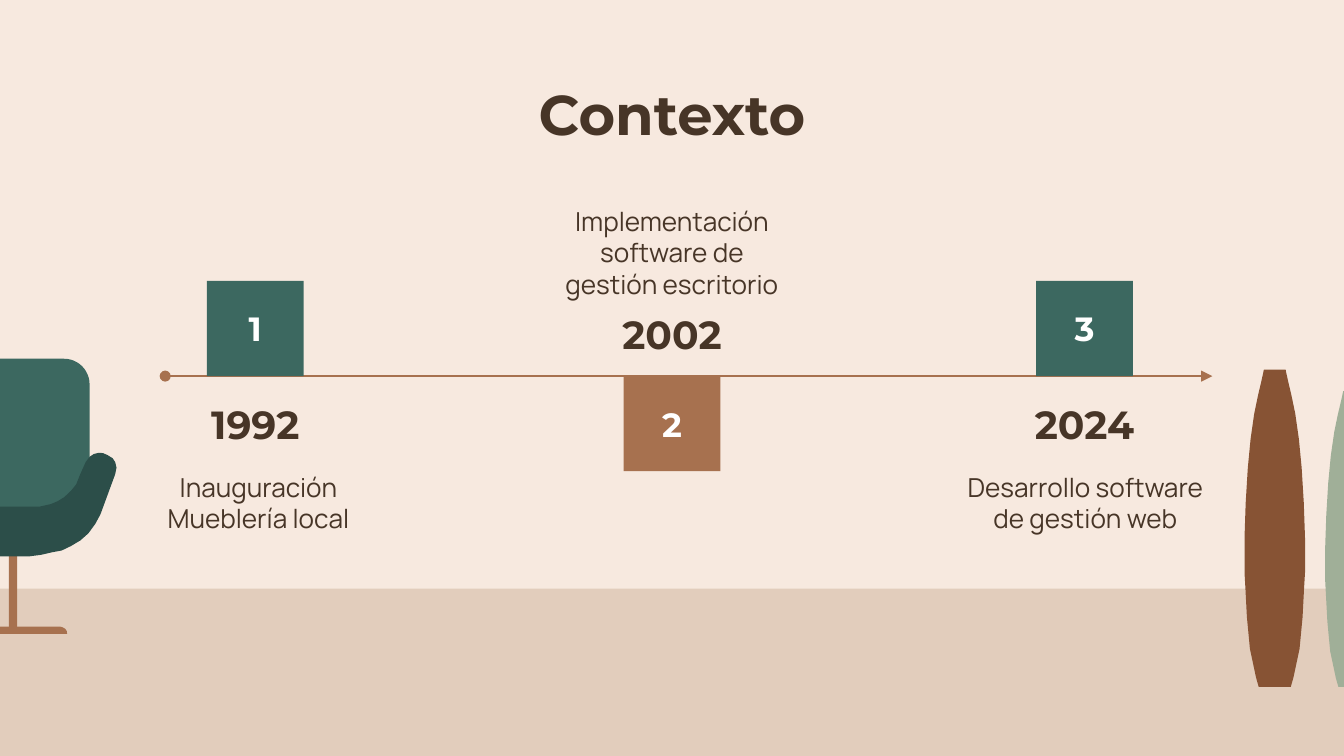
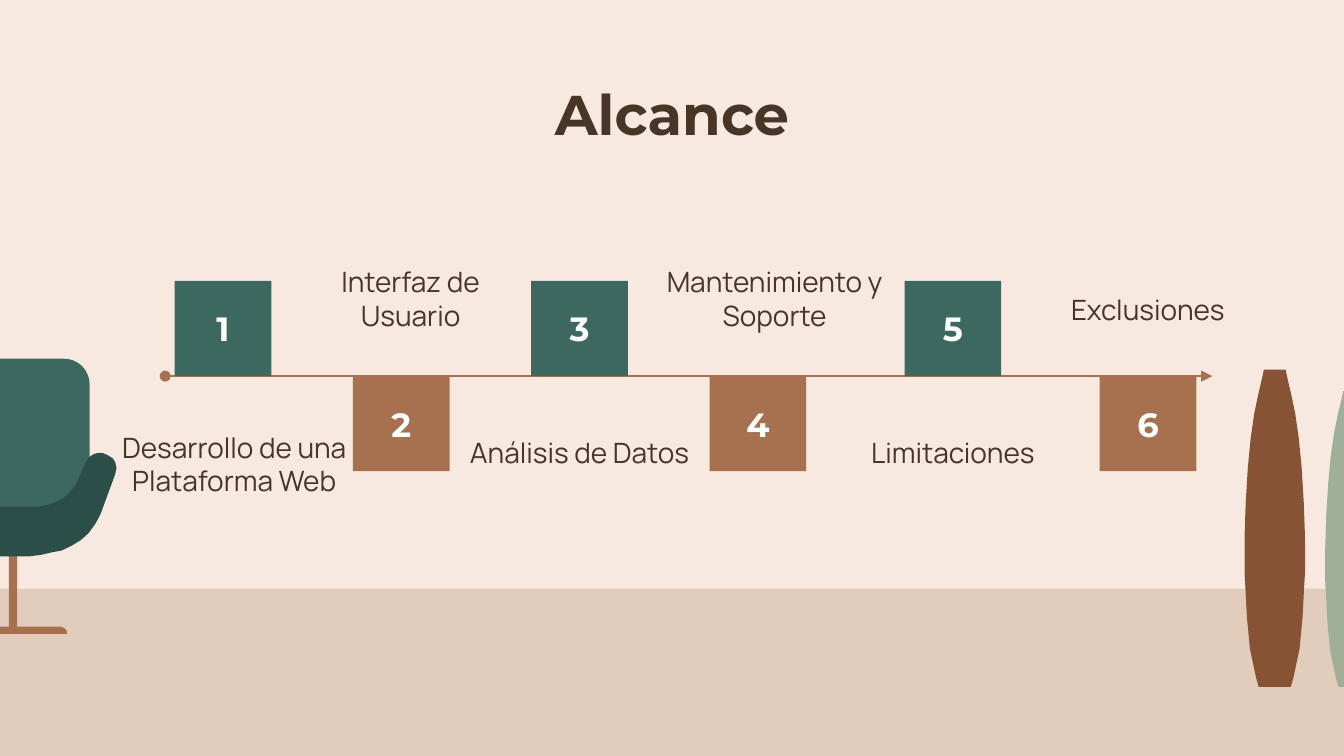
from lxml.etree import SubElement
from pptx import Presentation
from pptx.dml.color import RGBColor
from pptx.enum.shapes import MSO_CONNECTOR, MSO_SHAPE
from pptx.enum.text import MSO_ANCHOR, MSO_AUTO_SIZE, PP_ALIGN
from pptx.oxml.ns import qn
from pptx.util import Pt

COLORS = {
    "wall": "F7E9DF",
    "floor": "E2CDBC",
    "ink": "473527",
    "white": "FFFFFF",
    "green": "3C6860",
    "dark_green": "2C4E49",
    "sage": "A0AF98",
    "copper": "A7714F",
    "brown": "875334",
}
TITLE_FONT = {"name": "Montserrat", "size": Pt(30), "bold": True}
NUMBER_FONT = {"name": "Montserrat", "size": Pt(18), "bold": True}
YEAR_FONT = {"name": "Montserrat", "size": Pt(21), "bold": True}
NOTE_FONT = {"name": "Manrope", "bold": False}
FRAME = {
    "word_wrap": True,
    "auto_size": MSO_AUTO_SIZE.NONE,
    **{f"margin_{side}": Pt(7.2) for side in ("left", "top", "right", "bottom")},
}

TITLE_BOX = (56, 35.3, 608, 45.4)
TIMELINE_BOX = (88.5, 150.5, 561, 102)
FLOOR_BOX = (0, 315.4, 720, 89.6)
CHAIR_BOX = (-48.4, 192.2, 110.8, 147.6)
VASES = [((666.7, 198, 32.4, 170), "brown"), ((709.9, 209.5, 30.2, 158.5), "sage")]
NUMBER_SIZE = (51.8, 51)
YEAR_SIZE = (69, 26)
NOTE_SIZE = (142, 59)

VASE_HALF = [
    (0.36, 0), (0.38, 0.01), (0.45, 0.04), (0.55, 0.08), (0.68, 0.14),
    (0.8, 0.22), (0.89, 0.31), (0.96, 0.42), (1, 0.53), (1, 0.64),
    (0.97, 0.69), (0.92, 0.78), (0.82, 0.88), (0.62, 0.97), (0.53, 1),
]
SEAT_HALF = [
    (0, 55.5), (8.6, 55.5), (15, 54.7), (21, 53.3), (26, 52.4), (31, 50),
    (36, 47), (40.3, 43.2), (44, 38.2), (46.8, 33), (54.7, 11.5), (55.4, 8),
    (54.7, 5), (53.3, 2.9), (50.5, 1.2), (48.2, 0.2), (46, 0), (43.2, 0.7),
    (41, 2.2), (38.9, 5), (36, 11.5), (33.8, 17), (31, 20.4), (27.4, 23.8),
    (23.8, 26), (20.2, 27.5), (14.4, 28.8),
]
BASE_HALF = [(25.2, 0), (26.6, 0.4), (28, 1.2), (28.8, 2.4), (29, 3.9)]

CONTEXT_STOPS = [
    (48.3, "1992", (50, 89.3), "Inauguración Mueblería local"),
    (271.5, "2002", (271.5, -44.7), "Implementación software de gestión escritorio"),
    (492.5, "2024", (493, 89.3), "Desarrollo software de gestión web"),
]
SCOPE_STOPS = [
    (31, None, (37, 68.5), "Desarrollo de una Plataforma Web"),
    (126.5, None, (131.5, -20.2), "Interfaz de Usuario"),
    (222, None, (222, 62.5), "Análisis de Datos"),
    (317.5, None, (326.5, -20.2), "Mantenimiento y Soporte"),
    (422, None, (422, 62.5), "Limitaciones"),
    (526.5, None, (526.5, -14.4), "Exclusiones"),
]


def color(key):
    """Return the palette colour for a key."""
    return RGBColor.from_string(COLORS[key])


def apply(target, values):
    """Set every attribute in values on target."""
    for attribute, value in values.items():
        setattr(target, attribute, value)


def paint(shape, fill):
    """Give a shape a flat fill without line or shadow."""
    shape.shadow.inherit = False
    shape.fill.solid()
    shape.fill.fore_color.rgb = color(fill)
    shape.line.fill.background()
    return shape


def write(shape, text, font, ink="ink", anchor=MSO_ANCHOR.MIDDLE):
    """Write one centred paragraph into a shape."""
    frame = shape.text_frame
    apply(frame, {**FRAME, "vertical_anchor": anchor})
    paragraph = frame.paragraphs[0]
    paragraph.alignment = PP_ALIGN.CENTER
    run = paragraph.add_run()
    run.text = text
    apply(run.font, font)
    run.font.color.rgb = color(ink)


def block(shapes, box, fill, preset=MSO_SHAPE.RECTANGLE):
    """Add a flat preset shape."""
    return paint(shapes.add_shape(preset, *map(Pt, box)), fill)


def symmetric(shapes, centre, top, half, fill):
    """Add an outline from its right half and the mirror of that half."""
    mirrored = [(-x, y) for x, y in reversed(half)]
    points = [(Pt(centre + x), Pt(top + y)) for x, y in half + mirrored]
    builder = shapes.build_freeform(*points[0])
    builder.add_line_segments(points[1:], close=True)
    paint(builder.convert_to_shape(), fill)


def label(shapes, centre, top, size, text, font):
    """Add a text box centred on a vertical line."""
    width, height = size
    box = (centre - width / 2, top, width, height)
    write(shapes.add_textbox(*map(Pt, box)), text, font)


def vase(shapes, box, fill):
    """Draw a vase that fills the box."""
    left, top, width, height = box
    half = [(x * width / 2, y * height) for x, y in VASE_HALF]
    symmetric(shapes, left + width / 2, top, half, fill)


def chair(shapes, box):
    """Draw the armchair in the box as one group."""
    left, top, width, _ = box
    centre = left + width / 2
    parts = shapes.add_group_shape().shapes
    back = block(parts, (centre - 41, top, 82, 82), "green",
                 MSO_SHAPE.ROUND_2_SAME_RECTANGLE)
    back.adjustments[0] = 0.167
    block(parts, (centre - 2.2, top + 95, 4.4, 51), "copper")
    symmetric(parts, centre, top + 143.5, BASE_HALF, "copper")
    symmetric(parts, centre, top + 50.4, SEAT_HALF, "dark_green")


def scenery(shapes):
    """Draw the floor, the vases and the armchair."""
    block(shapes, FLOOR_BOX, "floor")
    for box, fill in VASES:
        vase(shapes, box, fill)
    chair(shapes, CHAIR_BOX)


def heading(slide, box, text):
    """Place and fill the title placeholder."""
    title = slide.shapes.title
    apply(title, dict(zip(("left", "top", "width", "height"), map(Pt, box))))
    write(title, text, TITLE_FONT, anchor=MSO_ANCHOR.TOP)


def axis(shapes, left, right, y):
    """Draw the timeline arrow with a dot at its start."""
    arrow = shapes.add_connector(MSO_CONNECTOR.STRAIGHT, Pt(left), Pt(y), Pt(right), Pt(y))
    arrow.line.color.rgb = color("copper")
    arrow.line.width = Pt(0.75)
    line = arrow.line._get_or_add_ln()
    for end, kind in (("a:headEnd", "oval"), ("a:tailEnd", "triangle")):
        SubElement(line, qn(end), type=kind)
    SubElement(line.getparent(), qn("a:effectLst"))


def timeline(shapes, box, stops, note_size):
    """Draw the axis with numbered stops above and below it in turn."""
    left, top, width, height = box
    number_width, number_height = NUMBER_SIZE
    axis(shapes, left, left + width, top + height / 2)
    for number, (centre, year, (note_centre, note_top), note) in enumerate(stops, 1):
        above = number % 2 == 1
        stop_top = top if above else top + height / 2
        stop_box = (left + centre - number_width / 2, stop_top, number_width, number_height)
        stop = block(shapes, stop_box, "green" if above else "copper")
        write(stop, str(number), NUMBER_FONT, "white")
        if year:
            year_top = top + (63.4 if above else 15.1)
            label(shapes, left + centre, year_top, YEAR_SIZE, year, YEAR_FONT)
        label(shapes, left + note_centre, top + note_top, NOTE_SIZE, note,
              {**NOTE_FONT, "size": Pt(note_size)})


def timeline_slide(deck, title, stops, note_size):
    """Add one slide with a title, the scenery and a timeline."""
    slide = deck.slides.add_slide(deck.slide_layouts.get_by_name("Title Only"))
    slide.background.fill.solid()
    slide.background.fill.fore_color.rgb = color("wall")
    scenery(slide.shapes)
    heading(slide, TITLE_BOX, title)
    timeline(slide.shapes, TIMELINE_BOX, stops, note_size)


def main():
    """Build and save the deck."""
    deck = Presentation()
    apply(deck, {"slide_width": Pt(720), "slide_height": Pt(405)})
    timeline_slide(deck, "Contexto", CONTEXT_STOPS, 14)
    timeline_slide(deck, "Alcance", SCOPE_STOPS, 15)
    deck.save("out.pptx")


if __name__ == "__main__":
    main()
